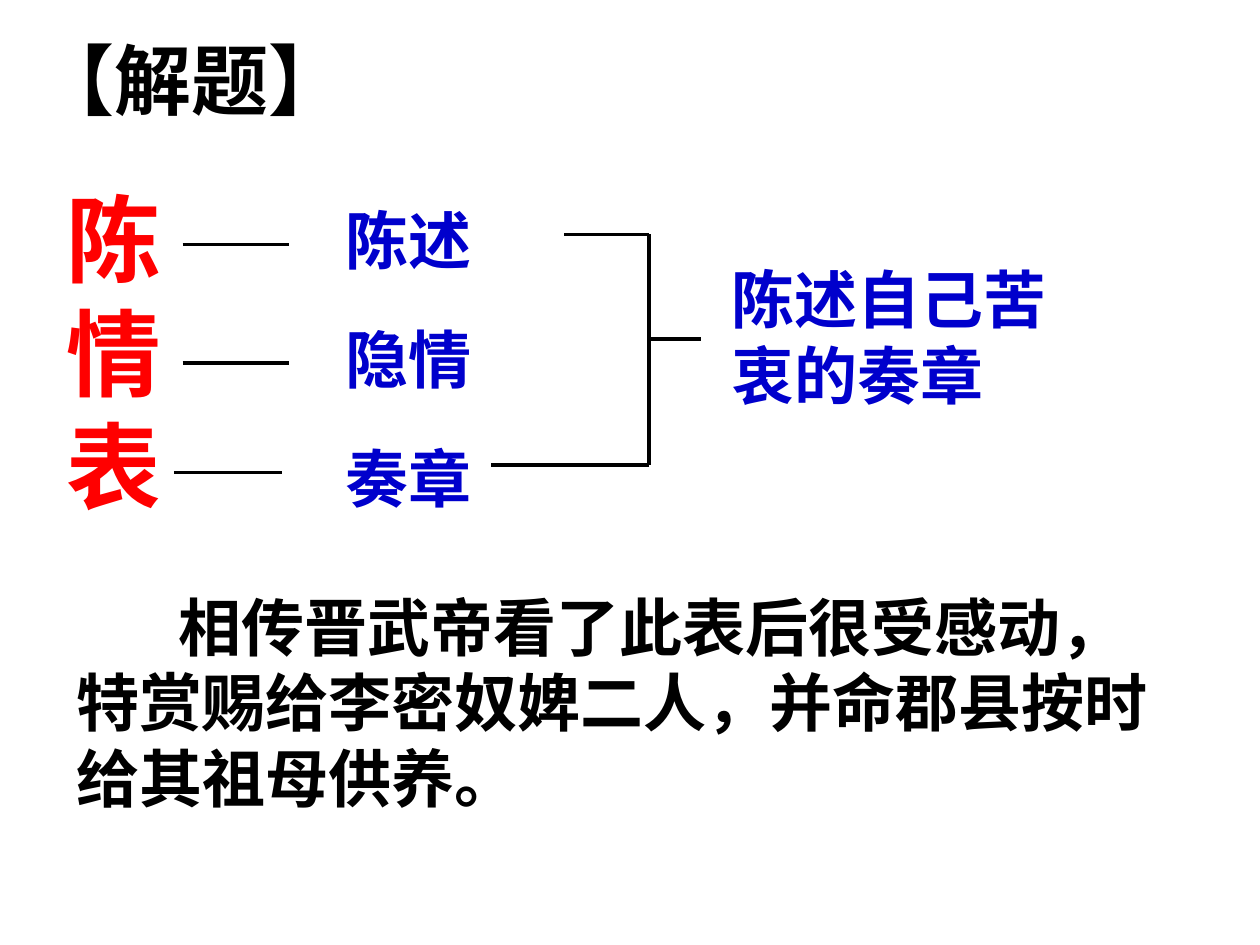
import dataclasses
import pptx
import pptx.dml.color
import pptx.enum.shapes
import pptx.enum.text
import pptx.util
from lxml import etree
from pptx.oxml.ns import qn

Inches = pptx.util.Inches
Pt = pptx.util.Pt
Color = pptx.dml.color.RGBColor


@dataclasses.dataclass(frozen=True)
class Theme:
    black: str = "000000"
    white: str = "FFFFFF"
    red: str = "FF0000"
    blue: str = "0000CC"
    latin: str = "Arial"
    asian: str = "Noto Sans CJK SC"
    title: int = 44
    key: int = 54
    body: int = 36
    rule: int = 2
    lead: float = 1.2


theme = Theme()


def write(shape, text, size, color, latin=theme.latin):
    frame = shape.text_frame
    frame.text = text
    frame.word_wrap = True
    frame.auto_size = pptx.enum.text.MSO_AUTO_SIZE.NONE
    frame.vertical_anchor = pptx.enum.text.MSO_ANCHOR.TOP
    para = frame.paragraphs[0]
    para.alignment = pptx.enum.text.PP_ALIGN.LEFT
    para.line_spacing = Pt(size * theme.lead)
    for run in para.runs:
        run.font.name = latin
        run.font.size = Pt(size)
        run.font.bold = True
        run.font.color.rgb = Color.from_string(color)
        face = etree.SubElement(run.font._element, qn("a:ea"))
        face.set("typeface", theme.asian)
    return para


def label(slide, box, text, size, color):
    shape = slide.shapes.add_textbox(*map(Inches, box))
    write(shape, text, size, color)


def rule(slide, start, end):
    line = slide.shapes.add_connector(
        pptx.enum.shapes.MSO_CONNECTOR.STRAIGHT, *map(Inches, start + end)
    )
    line.line.color.rgb = Color.from_string(theme.black)
    line.line.width = Pt(theme.rule)
    etree.SubElement(line._element.spPr, qn("a:effectLst"))


def story(slide, box):
    shape = slide.shapes.add_shape(
        pptx.enum.shapes.MSO_SHAPE.RECTANGLE, *map(Inches, box)
    )
    shape.shadow.inherit = False
    shape.line.fill.background()
    shape.fill.solid()
    shape.fill.fore_color.rgb = Color.from_string(theme.white)
    tint = shape._element.spPr.find(".//" + qn("a:srgbClr"))
    etree.SubElement(tint, qn("a:alpha")).set("val", "80000")
    para = write(
        shape,
        "相传晋武帝看了此表后很受感动，特赏赐给李密奴婢二人，并命郡县按时给其祖母供养。",
        theme.body, theme.black, theme.asian,
    )
    para._p.get_or_add_pPr().set("indent", str(Inches(0.81)))


def terms(slide, box):
    left, top, width, height = box
    label(slide, (left, top, 1.17, height), "陈情表", theme.key, theme.red)
    rows = (
        ("陈述", 1.02, 0.55, 0.84),
        ("隐情", 1.02, 1.49, 0.84),
        ("奏章", 0.95, 2.36, 0.86),
    )
    for i, (text, x, y, span) in enumerate(rows):
        rule(slide, (left + x, top + y), (left + x + span, top + y))
        spot = (left + 2.21, top + 0.16 + 0.945 * i, width - 2.21, 0.7)
        label(slide, spot, text, theme.body, theme.blue)


def bracket(slide, box):
    left, top, width, height = box
    spine = left + 1.25
    mid = top + 0.83
    foot = top + height
    rule(slide, (left + 0.58, top), (spine, top))
    rule(slide, (spine, top), (spine, foot))
    rule(slide, (spine, foot), (left, foot))
    rule(slide, (spine, mid), (left + width, mid))


def main():
    deck = pptx.Presentation()
    deck.slide_width = Inches(10)
    deck.slide_height = Inches(7.5)
    slide = deck.slides.add_slide(deck.slide_layouts[6])
    story(slide, (0.51, 4.62, 8.9, 1.9))
    label(slide, (0.2, 0.21, 6.14, 0.84), "【解题】", theme.title, theme.black)
    terms(slide, (0.43, 1.39, 5.04, 2.8))
    bracket(slide, (3.9, 1.86, 1.66, 1.83))
    label(slide, (5.71, 2.02, 2.75, 1.3), "陈述自己苦衷的奏章",
          theme.body, theme.blue)
    deck.save("out.pptx")


if __name__ == "__main__":
    main()
